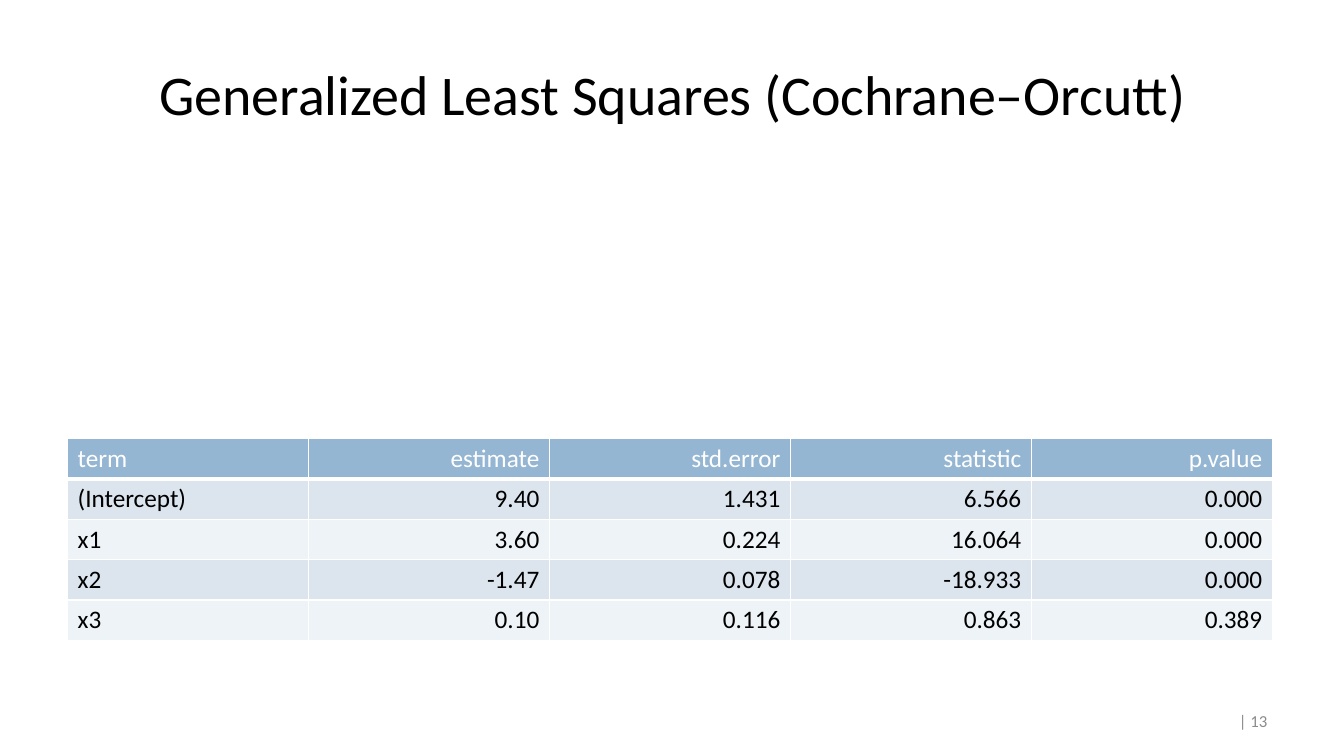
from dataclasses import dataclass

from lxml import etree
from pptx import Presentation
from pptx.dml.color import RGBColor
from pptx.enum.text import MSO_ANCHOR, PP_ALIGN
from pptx.oxml.ns import qn
from pptx.slide import Slide
from pptx.table import _Cell
from pptx.text.text import _Paragraph
from pptx.util import Pt

LEFT, CENTER, RIGHT = PP_ALIGN.LEFT, PP_ALIGN.CENTER, PP_ALIGN.RIGHT
MIDDLE = MSO_ANCHOR.MIDDLE
SCALE = 9144  # EMU per px, 100 px to the inch


@dataclass(frozen=True)
class Theme:
    font: str = "Calibri"
    ink: str = "000000"
    white: str = "FFFFFF"
    gray: str = "8C8C8C"
    head: str = "94B6D2"
    bands: tuple[str, str] = ("DCE5EE", "EEF3F7")
    title: int = 40
    body: int = 18
    small: int = 12
    thin: int = 1
    thick: int = 3


@dataclass(frozen=True)
class Label:
    text: str
    left: int
    top: int
    width: int
    height: int
    size: int
    color: str
    align: PP_ALIGN


THEME = Theme()

LABELS = [
    Label("| 13", 1183, 695, 84, 40, THEME.small, THEME.gray, RIGHT),
    Label("Generalized Least Squares (Cochrane–Orcutt)", 67, 30, 1200, 125,
          THEME.title, THEME.ink, CENTER),
]

ROWS = [
    ("term", "estimate", "std.error", "statistic", "p.value"),
    ("(Intercept)", "9.40", "1.431", "6.566", "0.000"),
    ("x1", "3.60", "0.224", "16.064", "0.000"),
    ("x2", "-1.47", "0.078", "-18.933", "0.000"),
    ("x3", "0.10", "0.116", "0.863", "0.389"),
]
TABLE_LEFT, TABLE_TOP = 67, 435
COL_WIDTH, ROW_HEIGHT = 239, 40


def px(count: int) -> int:
    return count * SCALE


def style(para: _Paragraph, size: int, color: str, align: PP_ALIGN) -> None:
    para.alignment = align
    for run in para.runs:
        font = run.font
        font.name = THEME.font
        font.size = Pt(size)
        font.bold = False
        font.color.rgb = RGBColor.from_string(color)


def add_label(slide: Slide, label: Label) -> None:
    box = slide.shapes.add_textbox(
        px(label.left), px(label.top), px(label.width), px(label.height))
    frame = box.text_frame
    frame.word_wrap = True
    frame.vertical_anchor = MIDDLE
    frame.text = label.text
    style(frame.paragraphs[0], label.size, label.color, label.align)


def set_borders(cell: _Cell, bottom: int) -> None:
    """Draw white borders; they must precede the fill in the cell's XML."""
    props = cell._tc.get_or_add_tcPr()
    widths = {"L": THEME.thin, "R": THEME.thin, "T": THEME.thin, "B": bottom}
    for place, (side, width) in enumerate(widths.items()):
        line = etree.Element(qn(f"a:ln{side}"), w=str(Pt(width)))
        fill = etree.SubElement(line, qn("a:solidFill"))
        etree.SubElement(fill, qn("a:srgbClr"), val=THEME.white)
        props.insert(place, line)


def add_results(slide: Slide) -> None:
    rows, cols = len(ROWS), len(ROWS[0])
    table = slide.shapes.add_table(
        rows, cols, px(TABLE_LEFT), px(TABLE_TOP),
        px(COL_WIDTH * cols), px(ROW_HEIGHT * rows)).table
    for r, values in enumerate(ROWS):
        head = r == 0
        back = THEME.head if head else THEME.bands[(r - 1) % 2]
        ink = THEME.white if head else THEME.ink
        for c, value in enumerate(values):
            cell = table.cell(r, c)
            cell.text_frame.text = value
            style(cell.text_frame.paragraphs[0], THEME.body, ink,
                  RIGHT if c else LEFT)
            cell.fill.solid()
            cell.fill.fore_color.rgb = RGBColor.from_string(back)
            set_borders(cell, THEME.thick if head else THEME.thin)


def main() -> None:
    deck = Presentation()
    deck.slide_width, deck.slide_height = px(1333), px(750)
    slide = deck.slides.add_slide(deck.slide_layouts[6])
    for label in LABELS:
        add_label(slide, label)
    add_results(slide)
    deck.save("out.pptx")


if __name__ == "__main__":
    main()
